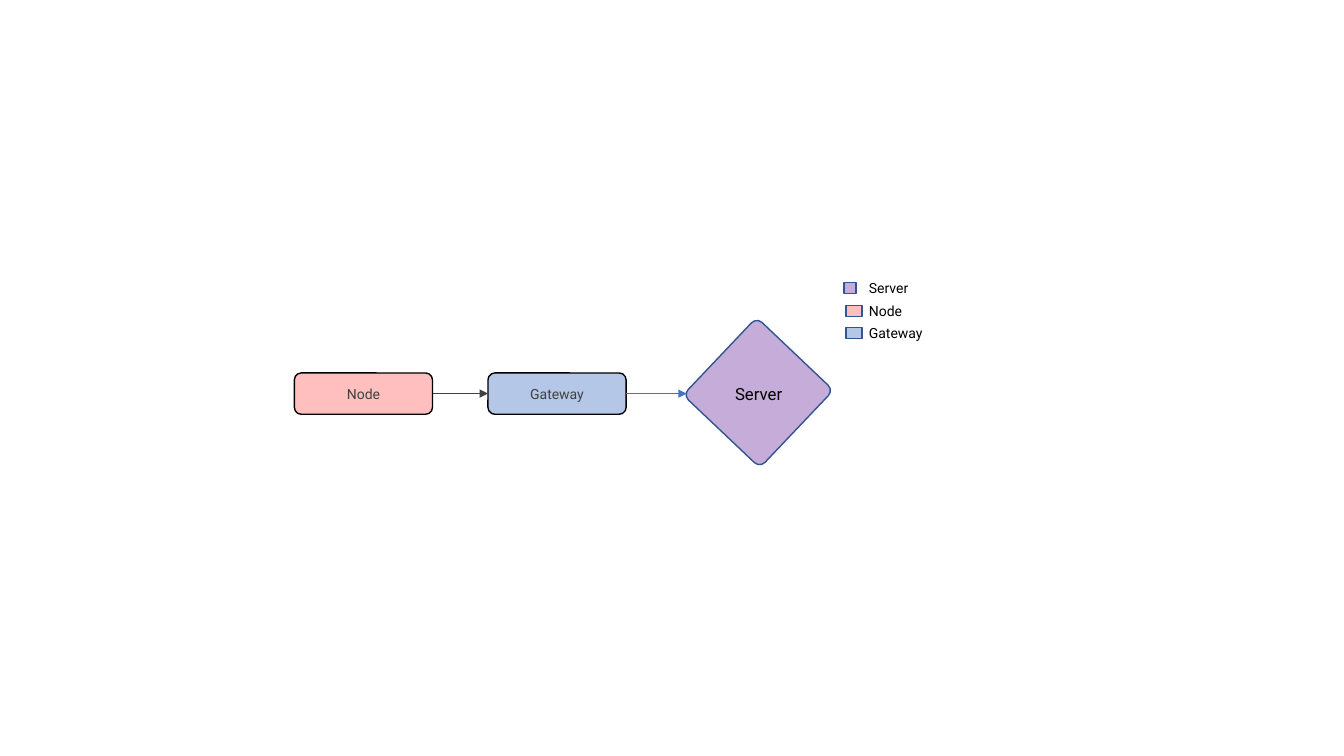
from lxml import etree
from pptx import Presentation
from pptx.dml.color import RGBColor
from pptx.enum import shapes, text
from pptx.oxml import ns
from pptx.util import Inches, Pt

PINK, BLUE, PURPLE = "FFBFBF", "B4C7E7", "C6ACD9"
BLACK, GRAY, NAVY = "000000", "404040", "325491"

presentation = Presentation()
presentation.slide_width = Inches(13.33)
presentation.slide_height = Inches(7.5)
slide = presentation.slides.add_slide(presentation.slide_layouts[6])


def add_block(kind, left, top, width, height, fill, line):
    shape = slide.shapes.add_shape(
        kind, Inches(left), Inches(top), Inches(width), Inches(height))
    shape.shadow.inherit = False
    shape.fill.solid()
    shape.fill.fore_color.rgb = RGBColor.from_string(fill)
    shape.line.color.rgb = RGBColor.from_string(line)
    shape.line.width = Pt(1)
    return shape


def write(shape, words, size=10, color=BLACK, align=text.PP_ALIGN.LEFT):
    frame = shape.text_frame
    frame.word_wrap = True
    frame.vertical_anchor = text.MSO_ANCHOR.MIDDLE
    paragraph = frame.paragraphs[0]
    paragraph.text = words
    paragraph.alignment = align
    paragraph.font.name = "Roboto"
    paragraph.font.size = Pt(size)
    paragraph.font.color.rgb = RGBColor.from_string(color)


# Node and gateway boxes
boxes = []
for name, left, fill in [("Node", 2.92, PINK), ("Gateway", 4.84, BLUE)]:
    box = add_block(shapes.MSO_SHAPE.ROUNDED_RECTANGLE,
                    left, 3.7, 1.37, 0.41, fill, BLACK)
    write(box, name, color=GRAY, align=text.PP_ALIGN.CENTER)
    boxes.append(box)
node, gateway = boxes

# Server diamond with an upright label
server = add_block(shapes.MSO_SHAPE.ROUNDED_RECTANGLE,
                   6.99, 3.37, 1.06, 1.05, PURPLE, NAVY)
server.adjustments[0] = 0.07
server.rotation = 133.5
server_label = slide.shapes.add_textbox(
    Inches(6.92), Inches(3.76), Inches(1.21), Inches(0.3))
write(server_label, "Server", size=12, align=text.PP_ALIGN.CENTER)

# Arrows from node to gateway to server
for source, target, start, end, color, width in [
        (node, gateway, 4.29, 4.84, GRAY, 1),
        (gateway, None, 6.21, 6.81, "4472C4", 0.5)]:
    arrow = slide.shapes.add_connector(
        shapes.MSO_CONNECTOR.STRAIGHT,
        Inches(start), Inches(3.9), Inches(end), Inches(3.9))
    arrow.begin_connect(source, 3)
    if target is not None:
        arrow.end_connect(target, 1)
    else:
        arrow.end_y = arrow.begin_y
    arrow.line.color.rgb = RGBColor.from_string(color)
    arrow.line.width = Pt(width)
    etree.SubElement(arrow.line._get_or_add_ln(), ns.qn("a:tailEnd"), type="triangle")
    etree.SubElement(arrow._element.spPr, ns.qn("a:effectLst"))

# Legend
for name, left, top, width, fill in [
        ("Server", 8.37, 2.8, 0.12, PURPLE),
        ("Node", 8.39, 3.03, 0.16, PINK),
        ("Gateway", 8.39, 3.25, 0.16, BLUE)]:
    add_block(shapes.MSO_SHAPE.RECTANGLE, left, top, width, 0.11, fill, NAVY)
    label = slide.shapes.add_textbox(
        Inches(8.52), Inches(top - 0.08), Inches(1.24), Inches(0.27))
    write(label, name)

presentation.save("out.pptx")
